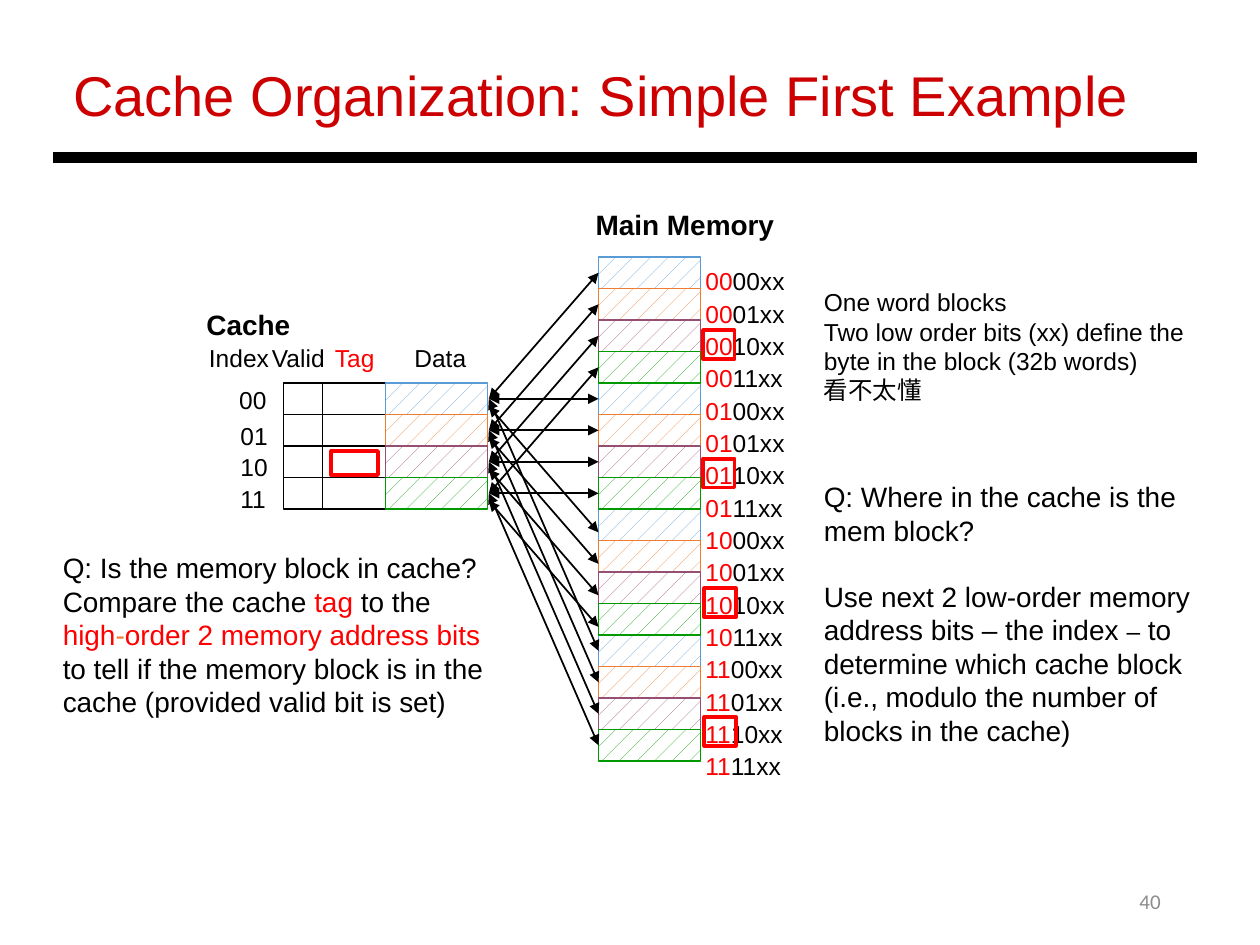
"""Build a slide on a simple direct-mapped cache organization."""
from lxml.etree import SubElement
from pptx import Presentation
from pptx.dml.color import RGBColor
from pptx.enum.dml import MSO_PATTERN
from pptx.enum.shapes import MSO_CONNECTOR, MSO_SHAPE
from pptx.enum.text import MSO_ANCHOR, MSO_AUTO_SIZE, PP_ALIGN
from pptx.oxml.ns import qn
from pptx.util import Inches, Pt

BLACK = RGBColor(0x00, 0x00, 0x00)
WHITE = RGBColor(0xFF, 0xFF, 0xFF)
RED = RGBColor(0xFF, 0x00, 0x00)
TITLE_RED = RGBColor(0xCC, 0x00, 0x00)
GRAY = RGBColor(0x8C, 0x8C, 0x8C)
BLUE = RGBColor(0x5B, 0x9B, 0xD5)
ORANGE = RGBColor(0xED, 0x7D, 0x31)
PURPLE = RGBColor(0x95, 0x4F, 0x72)
GREEN = RGBColor(0x00, 0x99, 0x00)
BLOCK_COLORS = [BLUE, ORANGE, PURPLE, GREEN]
INDEXES = ["00", "01", "10", "11"]

ROW = 0.25
BLOCK_WIDTH = 0.81
CACHE_TOP, CACHE_DATA_LEFT, CACHE_RIGHT = 3.04, 3.06, 3.88
MEMORY_TOP, MEMORY_LEFT = 2.04, 4.75

deck = Presentation()
deck.slide_width, deck.slide_height = Inches(10), Inches(7.5)
page = deck.slides.add_slide(deck.slide_layouts[5])


def add_text(left, top, width, height, paragraphs, size, wrap=True):
    """Add a text box whose paragraphs are lists of (text, color) spans."""
    box = page.shapes.add_textbox(Inches(left), Inches(top), Inches(width), Inches(height))
    frame = box.text_frame
    frame.word_wrap = wrap
    for number, spans in enumerate(paragraphs):
        para = frame.add_paragraph() if number else frame.paragraphs[0]
        for text, color in spans:
            span = para.add_run()
            span.text = text
            span.font.name = "Arial"
            span.font.size = Pt(size)
            span.font.color.rgb = color
    return frame


def add_box(left, top, width, height, color, weight=1, patterned=False):
    """Add an outlined rectangle, optionally with a light pattern."""
    box = page.shapes.add_shape(
        MSO_SHAPE.RECTANGLE, Inches(left), Inches(top), Inches(width), Inches(height))
    box.shadow.inherit = False
    box.line.color.rgb = color
    box.line.width = Pt(weight)
    if patterned:
        box.fill.patterned()
        box.fill.pattern = MSO_PATTERN.PERCENT_5
        box.fill.fore_color.rgb = color
        box.fill.back_color.rgb = WHITE
    else:
        box.fill.background()


title = page.shapes.title
title.left, title.top = Inches(0.48), Inches(0.43)
title.width, title.height = Inches(9.13), Inches(0.64)
title_frame = title.text_frame
title_frame.text = "Cache Organization: Simple First Example"
title_frame.auto_size = MSO_AUTO_SIZE.NONE
title_frame.vertical_anchor = MSO_ANCHOR.TOP
title_frame.paragraphs[0].alignment = PP_ALIGN.LEFT
title_font = title_frame.paragraphs[0].runs[0].font
title_font.name, title_font.size = "Arial", Pt(32)
title_font.color.rgb = TITLE_RED

number_frame = add_text(7.06, 6.95, 2.25, 0.4, [[("40", GRAY)]], 12)
number_frame.vertical_anchor = MSO_ANCHOR.MIDDLE
number_frame.paragraphs[0].alignment = PP_ALIGN.RIGHT
number_frame.paragraphs[0].runs[0].font.name = "Calibri"

for row, color in enumerate(BLOCK_COLORS):
    top = CACHE_TOP + row * ROW
    add_box(2.25, top, 0.31, ROW, BLACK)
    add_box(2.56, top, 0.5, ROW, BLACK)
for row, color in enumerate(BLOCK_COLORS):
    add_box(CACHE_DATA_LEFT, CACHE_TOP + row * ROW, BLOCK_WIDTH, ROW, color, patterned=True)
    for group in range(4):
        top = MEMORY_TOP + (4 * group + row) * ROW
        add_box(MEMORY_LEFT, top, BLOCK_WIDTH, ROW, color, patterned=True)

for text, left, top, width in [
    ("00", 1.8, 3.01, 0.42), ("01", 1.81, 3.29, 0.42),
    ("10", 1.81, 3.54, 0.42), ("11", 1.81, 3.79, 0.4),
    ("Index", 1.56, 2.67, 0.68), ("Valid", 2.06, 2.67, 0.62),
    ("Tag", 2.56, 2.67, 0.52), ("Data", 3.19, 2.67, 0.62),
]:
    color = RED if text == "Tag" else BLACK
    add_text(left, top, width, 0.34, [[(text, color)]], 14, wrap=False)

for text, left, top, width in [("Cache", 1.54, 2.39, 0.87), ("Main Memory", 4.63, 1.6, 1.64)]:
    heading = add_text(left, top, width, 0.37, [[(text, BLACK)]], 16, wrap=False)
    heading.paragraphs[0].runs[0].font.bold = True

lines = [(0.42, 1.25, 9.5, 1.25, 6)]
for group, shift in enumerate([0, 0, 0.06, 0]):
    for row in range(4):
        cache_y = CACHE_TOP + (row + 0.5) * ROW + shift
        memory_y = MEMORY_TOP + (4 * group + row + 0.5) * ROW + shift
        lines.append((MEMORY_LEFT, memory_y, CACHE_RIGHT, cache_y, 1))
for start_x, start_y, end_x, end_y, weight in lines:
    line = page.shapes.add_connector(
        MSO_CONNECTOR.STRAIGHT, Inches(start_x), Inches(start_y), Inches(end_x), Inches(end_y))
    line.line.color.rgb = BLACK
    line.line.width = Pt(weight)
    if weight == 1:
        outline = line.line._get_or_add_ln()
        for end in ("a:headEnd", "a:tailEnd"):
            SubElement(outline, qn(end), type="triangle")
    SubElement(line._element.spPr, qn("a:effectLst"))

addresses = [[(tag, RED), (index + "xx", BLACK)] for tag in INDEXES for index in INDEXES]
address_frame = add_text(5.5, 2.04, 1.05, 4.25, addresses, 14)
for para in address_frame.paragraphs:
    para.line_spacing = 1.1

add_text(6.44, 2.23, 3.19, 1.04, [
    [("One word blocks", BLACK)],
    [("Two low order bits (xx) define the byte in the block (32b words)", BLACK)],
    [("看不太懂", BLACK)],
], 14)

where_frame = add_text(6.44, 3.76, 3.4, 2.26, [
    [("Q: Where in the cache is the mem block?", BLACK)],
    [("Use next 2 low-order memory address bits – the index ", BLACK), ("–", BLACK),
     (" to determine which cache block (i.e., modulo the number of blocks in the cache)", BLACK)],
], 16)
where_frame.paragraphs[1].space_before = Pt(18.4)
where_frame.paragraphs[1].runs[1].font.size = Pt(14)

add_text(0.4, 4.32, 3.57, 1.45, [
    [("Q: Is the memory block in cache?", BLACK)],
    [("Compare the cache ", BLACK), ("tag ", RED), ("to the ", BLACK), ("high", RED),
     ("-", ORANGE), ("order 2 memory address bits ", RED),
     ("to tell if the memory block is in the cache (provided valid bit is set)", BLACK)],
], 16)

add_box(2.63, 3.58, 0.37, 0.19, RED, 2.25)
for left, top in [(5.58, 2.62), (5.58, 3.64), (5.59, 4.67), (5.59, 5.69)]:
    add_box(left, top, 0.25, 0.23, RED, 2.25)

deck.save("out.pptx")
